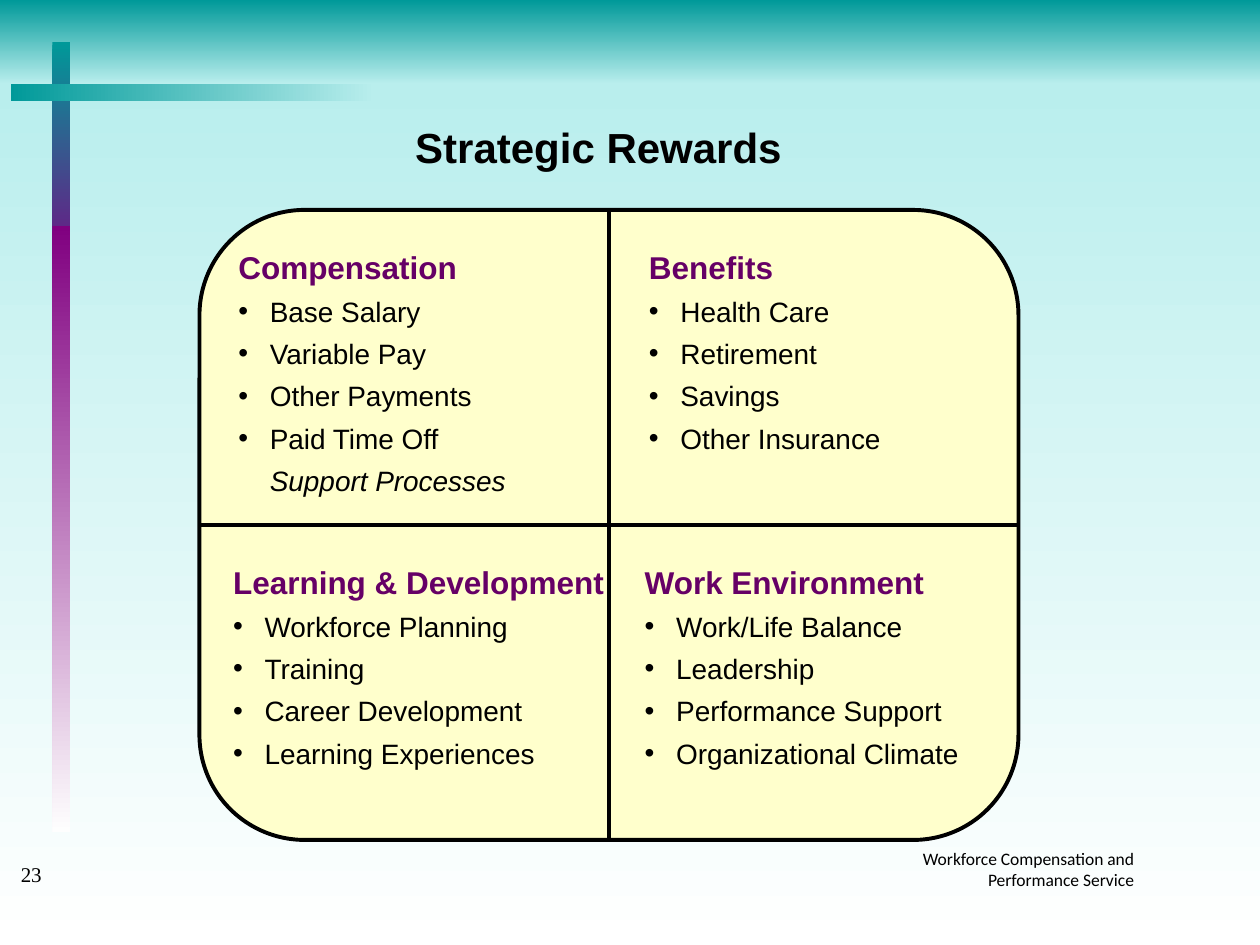
from typing import NamedTuple

from lxml import etree
from pptx import Presentation
from pptx import util as u
from pptx.dml.color import RGBColor
from pptx.enum import shapes, text
from pptx.oxml.ns import qn

# Grid of 120 columns by 90 rows on a 10 x 7.5 inch slide
COLS, ROWS = 120, 90
CELL = u.Inches(10) // COLS
TEAL, AQUA, PURPLE = "009999", "B9EEED", "800080"
BLACK, PLUM, CREAM = "000000", "660066", "FFFFCC"


class Box(NamedTuple):
    col: float
    row: float
    cols: float
    rows: float

    def emu(self) -> list[int]:
        return [round(v * CELL) for v in self]


class Band(NamedTuple):
    box: Box
    start: str
    end: str
    angle: int  # counter-clockwise; 270 runs downwards


class Quadrant(NamedTuple):
    box: Box
    heading: str
    items: list[str]
    note: str = ""


BANDS = [
    Band(Box(0, 0, COLS, 8), TEAL, AQUA, 270),
    Band(Box(0, 8, COLS, ROWS - 8), AQUA, "FFFFFF", 270),
    Band(Box(5, 4, 1.7, 24), TEAL, PURPLE, 270),
    Band(Box(5, 21.5, 1.7, 57.7), PURPLE, "FEFEFE", 270),
    Band(Box(1, 8, 34.7, 1.65), TEAL, AQUA, 0),
]
CARD = Box(19, 20, 78, 60)
QUADRANTS = [
    Quadrant(Box(21.5, 23, 32, 25), "Compensation",
             ["Base Salary", "Variable Pay", "Other Payments", "Paid Time Off"],
             "Support Processes"),
    Quadrant(Box(60.6, 23, 26.6, 21), "Benefits",
             ["Health Care", "Retirement", "Savings", "Other Insurance"]),
    Quadrant(Box(21, 53, 38, 25), "Learning & Development",
             ["Workforce Planning", "Training", "Career Development",
              "Learning Experiences"]),
    Quadrant(Box(60.2, 53, 36.6, 21), "Work Environment",
             ["Work/Life Balance", "Leadership", "Performance Support",
              "Organizational Climate"]),
]


def rgb(value: str) -> RGBColor:
    return RGBColor.from_string(value)


def place(s, box: Box) -> None:
    s.left, s.top, s.width, s.height = box.emu()


def setup_frame(s, wrap: bool = True, right: float = 0.1):
    tf = s.text_frame
    tf.word_wrap = wrap
    tf.auto_size = text.MSO_AUTO_SIZE.NONE
    tf.vertical_anchor = text.MSO_ANCHOR.TOP
    tf.margin_left, tf.margin_right = u.Inches(0.1), u.Inches(right)
    tf.margin_top = tf.margin_bottom = u.Inches(0.05)
    return tf


def add_run(p, words: str, size: float, color: str = BLACK, font: str = "Arial",
            bold: bool = False, italic: bool = False) -> None:
    r = p.add_run()
    r.text = words
    r.font.size, r.font.name = u.Pt(size), font
    r.font.bold, r.font.italic = bold, italic
    r.font.color.rgb = rgb(color)


def format_paragraph(p, before: float = 0, margin: float = 0, hanging: float = 0,
                     bullet: str = "", align=text.PP_ALIGN.LEFT) -> None:
    p.alignment, p.space_before = align, u.Pt(before)
    pPr = p._p.get_or_add_pPr()
    pPr.set("marL", str(u.Inches(margin)))
    pPr.set("indent", str(-u.Inches(hanging)))
    if bullet:
        etree.SubElement(pPr, qn("a:buFont"), typeface="Arial")
        etree.SubElement(pPr, qn("a:buChar"), char=bullet)
    else:
        etree.SubElement(pPr, qn("a:buNone"))


def draw_band(sl, band: Band) -> None:
    s = sl.shapes.add_shape(shapes.MSO_SHAPE.RECTANGLE, *band.box.emu())
    s.shadow.inherit = False
    s.line.fill.background()
    s.fill.gradient()
    s.fill.gradient_angle = band.angle
    for stop, color in zip(s.fill.gradient_stops, (band.start, band.end)):
        stop.color.rgb = rgb(color)


def draw_card(sl):
    s = sl.shapes.add_shape(shapes.MSO_SHAPE.ROUNDED_RECTANGLE, *CARD.emu())
    s.adjustments[0] = 0.167
    s.shadow.inherit = False
    s.fill.solid()
    s.fill.fore_color.rgb = rgb(CREAM)
    s.line.color.rgb = rgb(BLACK)
    s.line.width = u.Pt(2.25)
    return s


def draw_divider(sl, card, start: int, end: int, width: float) -> None:
    c = sl.shapes.add_connector(shapes.MSO_CONNECTOR.STRAIGHT, 0, 0, 0, 0)
    c.begin_connect(card, start)
    c.end_connect(card, end)
    c.line.color.rgb = rgb(BLACK)
    c.line.width = u.Pt(width)
    etree.SubElement(c._element.spPr, qn("a:effectLst"))


def fill_quadrant(s, quad: Quadrant) -> None:
    place(s, quad.box)
    tf = setup_frame(s)
    p = tf.paragraphs[0]
    format_paragraph(p)
    add_run(p, quad.heading, 18, PLUM, bold=True)
    for item in quad.items:
        p = tf.add_paragraph()
        format_paragraph(p, 5, 0.25, 0.25, "•")
        add_run(p, item, 16)
    if quad.note:
        p = tf.add_paragraph()
        format_paragraph(p, 5, 0.25)
        add_run(p, quad.note, 16, italic=True)


def add_label(sl, box: Box, words: str, size: float, font: str, align,
              wrap: bool = True, right: float = 0.1) -> None:
    tf = setup_frame(sl.shapes.add_textbox(*box.emu()), wrap, right)
    p = tf.paragraphs[0]
    format_paragraph(p, align=align)
    add_run(p, words, size, font=font)


def main() -> None:
    prs = Presentation()
    prs.slide_width, prs.slide_height = COLS * CELL, ROWS * CELL
    sl = prs.slides.add_slide(prs.slide_layouts.get_by_name("Comparison"))
    title, *bodies = list(sl.placeholders)[:5]

    # Backdrop, footer and page number
    for band in BANDS:
        draw_band(sl, band)
    add_label(sl, Box(84, 80.2, 24, 5.3),
              "Workforce Compensation and Performance Service",
              10, "Calibri", text.PP_ALIGN.RIGHT, right=0)
    add_label(sl, Box(0.8, 81.5, 10.7, 3.6), "23", 12, "Times New Roman",
              text.PP_ALIGN.LEFT, wrap=False)

    # Card and title
    card = draw_card(sl)
    place(title, Box(29, 11, 56, 6))
    p = setup_frame(title).paragraphs[0]
    format_paragraph(p, align=text.PP_ALIGN.CENTER)
    add_run(p, "Strategic Rewards", 24, bold=True)

    # Four lists, lifted with the title above the backdrop
    for s, quad in zip(bodies, QUADRANTS):
        fill_quadrant(s, quad)
    for s in (title, *bodies):
        sl.shapes._spTree.append(s._element)

    # Dividers through the card's centre
    draw_divider(sl, card, 0, 2, 1.75)
    draw_divider(sl, card, 1, 3, 2.5)
    prs.save("out.pptx")


if __name__ == "__main__":
    main()
